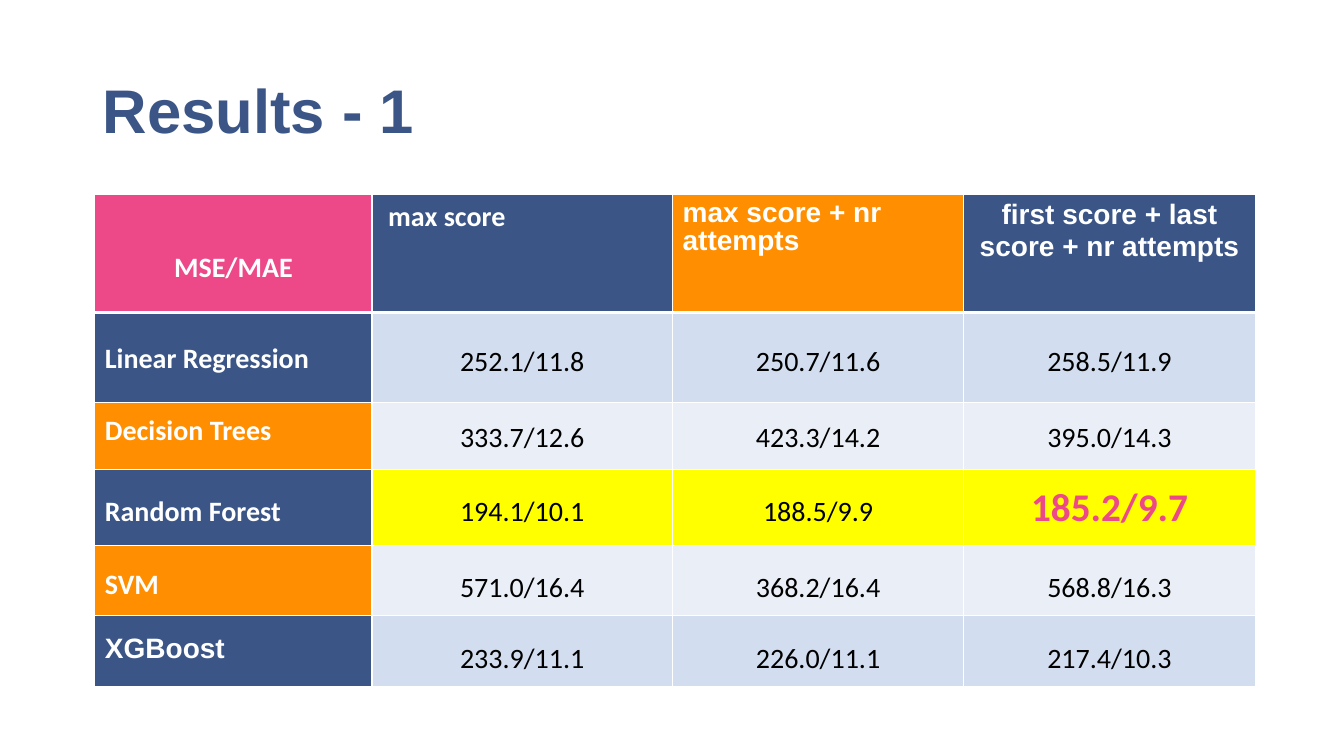
from dataclasses import dataclass

from lxml import etree
from pptx import Presentation
from pptx.dml.color import RGBColor
from pptx.enum.text import MSO_ANCHOR, MSO_AUTO_SIZE, PP_ALIGN
from pptx.oxml.ns import qn
from pptx.util import Inches, Pt

LEFT, CENTER = PP_ALIGN.LEFT, PP_ALIGN.CENTER
MIDDLE = MSO_ANCHOR.MIDDLE
NO_AUTOFIT = MSO_AUTO_SIZE.NONE
TITLE_ONLY = 5


@dataclass(frozen=True)
class Theme:
    blue: str = "3B5686"
    orange: str = "FF8F00"
    pink: str = "ED4989"
    yellow: str = "FFFF00"
    dark_band: str = "D2DEEF"
    light_band: str = "EAEFF7"
    white: str = "FFFFFF"
    black: str = "000000"
    heading_font: str = "Arial"
    body_font: str = "Calibri"
    title_size: int = 44
    best_size: int = 28
    cell_size: int = 20


theme = Theme()


def write(frame, text, font, size, color, bold, align, spacing):
    para = frame.paragraphs[0]
    para.alignment = align
    para.line_spacing = spacing
    span = para.add_run()
    span.text = text
    span.font.name = font
    span.font.size = Pt(size)
    span.font.bold = bold
    span.font.color.rgb = RGBColor.from_string(color)


def style_cell(cell, fill, top_width, bottom_width):
    """Draw the white cell borders, then fill the cell."""
    properties = cell._tc.get_or_add_tcPr()
    for side, width in (("L", 1), ("R", 1), ("T", top_width), ("B", bottom_width)):
        line = etree.SubElement(properties, qn(f"a:ln{side}"), w=str(Pt(width)))
        solid = etree.SubElement(line, qn("a:solidFill"))
        etree.SubElement(solid, qn("a:srgbClr"), val=theme.white)
    cell.fill.solid()
    cell.fill.fore_color.rgb = RGBColor.from_string(fill)


deck = Presentation()
deck.slide_width, deck.slide_height = Inches(13.33), Inches(7.5)
page = deck.slides.add_slide(deck.slide_layouts[TITLE_ONLY])

title = page.shapes.title
title.left, title.top = Inches(0.92), Inches(0.4)
title.width, title.height = Inches(11.5), Inches(1.45)
title.text_frame.auto_size = NO_AUTOFIT
title.text_frame.vertical_anchor = MIDDLE
write(title.text_frame, "Results - 1", theme.heading_font, theme.title_size,
      theme.blue, True, LEFT, 0.9)

# Text, fill, font, alignment, line spacing
headers = [
    ("MSE/MAE", theme.pink, theme.body_font, CENTER, 2.5),
    ("max score", theme.blue, theme.body_font, LEFT, 1.0),
    ("max score + nr attempts", theme.orange, theme.heading_font, LEFT, 0.9),
    ("first score + last score + nr attempts", theme.blue, theme.heading_font, CENTER, 1.0),
]
# Model, label font, label spacing, score fill, score spacing, scores
models = [
    ("Linear Regression", theme.body_font, 1.7, theme.dark_band, 1.8,
     ["252.1/11.8", "250.7/11.6", "258.5/11.9"]),
    ("Decision Trees", theme.body_font, 1.2, theme.light_band, 1.4,
     ["333.7/12.6", "423.3/14.2", "395.0/14.3"]),
    ("Random Forest", theme.body_font, 1.6, theme.yellow, 1.6,
     ["194.1/10.1", "188.5/9.9", "185.2/9.7"]),
    ("SVM", theme.body_font, 1.5, theme.light_band, 1.6,
     ["571.0/16.4", "368.2/16.4", "568.8/16.3"]),
    ("XGBoost", theme.heading_font, 1.4, theme.dark_band, 1.6,
     ["233.9/11.1", "226.0/11.1", "217.4/10.3"]),
]
best_score = "185.2/9.7"
column_widths = [2.75, 2.98, 2.89, 2.89]
row_heights = [1.17, 0.89, 0.67, 0.75, 0.7, 0.7]

results = page.shapes.add_table(
    len(row_heights), len(column_widths), Inches(0.94), Inches(1.93),
    Inches(sum(column_widths)), Inches(sum(row_heights))).table
for column, width in zip(results.columns, column_widths):
    column.width = Inches(width)
for row, height in zip(results.rows, row_heights):
    row.height = Inches(height)

for column, (text, fill, font, align, spacing) in enumerate(headers):
    cell = results.cell(0, column)
    style_cell(cell, fill, 1, 3)
    write(cell.text_frame, text, font, theme.cell_size, theme.white, True, align, spacing)
results.cell(0, 1).margin_left = Inches(0.16)

for row, (model, font, label_spacing, band, spacing, scores) in enumerate(models, 1):
    top_width = 3 if row == 1 else 1
    label = results.cell(row, 0)
    style_cell(label, theme.blue if row % 2 else theme.orange, top_width, 1)
    write(label.text_frame, model, font, theme.cell_size, theme.white, True,
          LEFT, label_spacing)
    for column, score in enumerate(scores, 1):
        cell = results.cell(row, column)
        style_cell(cell, band, top_width, 1)
        if score == best_score:
            write(cell.text_frame, score, theme.body_font, theme.best_size,
                  theme.pink, True, CENTER, 1.2)
        else:
            write(cell.text_frame, score, theme.body_font, theme.cell_size,
                  theme.black, False, CENTER, spacing)

deck.save("out.pptx")
